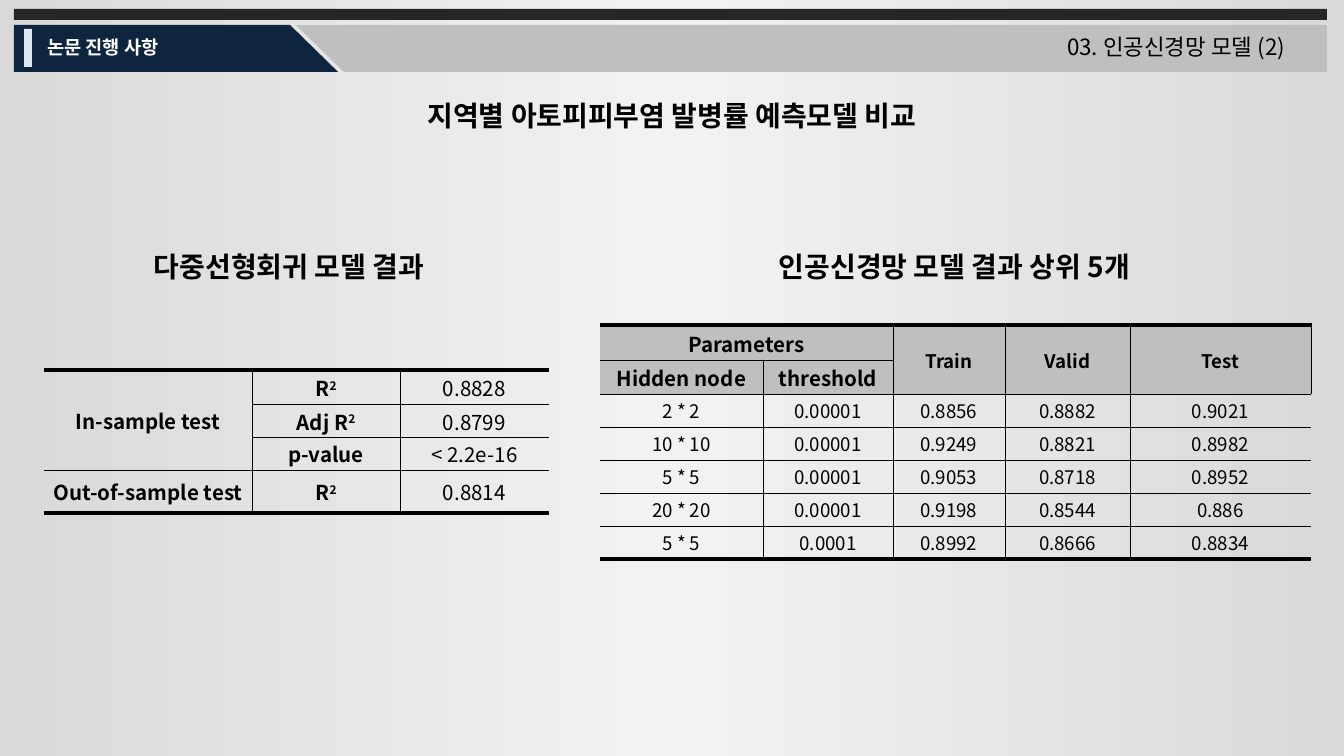
from copy import deepcopy
from dataclasses import dataclass

from lxml import etree
from pptx import Presentation
from pptx.dml.color import RGBColor
from pptx.enum.shapes import MSO_SHAPE
from pptx.enum.text import MSO_ANCHOR, MSO_AUTO_SIZE, PP_ALIGN
from pptx.oxml.ns import qn
from pptx.util import Emu, Pt

RECT, TRIANGLE = MSO_SHAPE.RECTANGLE, MSO_SHAPE.RIGHT_TRIANGLE
LEFT, CENTER = PP_ALIGN.LEFT, PP_ALIGN.CENTER
MIDDLE = MSO_ANCHOR.MIDDLE
GROW = MSO_AUTO_SIZE.SHAPE_TO_FIT_TEXT

FONT = "Noto Sans CJK KR"
NO_STYLE = "{2D5ABB26-0587-4C30-8999-92F81FD0307C}"
THIN, THICK = 0.28, 2.25
WIDTH, HEIGHT = 1344, 756
SCALE = 9144000 / WIDTH
COLORS = {
    "edge": "D9D9D9", "glow": "F2F2F2", "bar": "262626", "navy": "0F243E",
    "gray": "BFBFBF", "accent": "DCE6F2", "white": "FFFFFF", "black": "000000",
}


@dataclass
class Block:
    shape: int
    x: int
    y: int
    w: int
    h: int
    color: str
    rotation: int = 0


@dataclass
class Label:
    text: str
    x: int
    y: int
    w: int
    h: int
    size: int = 15
    bold: bool = True
    color: str = "black"
    align: int = CENTER
    wrap: bool = True


@dataclass
class Grid:
    x: int
    y: int
    cols: list[int]
    rows: list[int]
    cells: list[list[str]]
    merges: list[tuple[int, int, int, int]]  # first row, first column, last row, last column
    size: int
    head_rows: int = 0
    head_cols: int = 0
    big_cells: tuple[str, ...] = ()  # header texts one point larger


BLOCKS = [
    Block(RECT, 14, 9, 1313, 11, "bar"),
    Block(RECT, 14, 25, 276, 47, "navy"),
    Block(TRIANGLE, 290, 25, 48, 47, "navy"),
    Block(RECT, 344, 25, 983, 47, "gray"),
    Block(TRIANGLE, 296, 25, 48, 47, "gray", 180),
    Block(RECT, 24, 29, 8, 38, "accent"),
]
LABELS = [
    Label("논문 진행 사항", 34, 29, 152, 37, size=10, color="white", align=LEFT),
    Label("03. 인공신경망 모델 (2)", 1054, 27, 274, 40, size=12, bold=False, align=LEFT, wrap=False),
    Label("지역별 아토피피부염 발병률 예측모델 비교", 241, 92, 862, 47),
    Label("다중선형회귀 모델 결과", 125, 243, 328, 47),
    Label("인공신경망 모델 결과 상위 5개", 743, 243, 423, 47),
]
REGRESSION = Grid(
    44, 370, [208, 148, 149], [34, 33, 33, 43],
    [
        ["In-sample test", "R^2", "0.8828"],
        ["", "Adj R^2", "0.8799"],
        ["", "p-value", "< 2.2e-16"],
        ["Out-of-sample test", "R^2", "0.8814"],
    ],
    [(0, 0, 2, 0)], size=11, head_cols=2,
)
NETWORK = Grid(
    600, 325, [163, 130, 112, 125, 181], [35, 34] + [33] * 5,
    [
        ["Parameters", "", "Train", "Valid", "Test"],
        ["Hidden node", "threshold", "", "", ""],
        ["2 * 2", "0.00001", "0.8856", "0.8882", "0.9021"],
        ["10 * 10", "0.00001", "0.9249", "0.8821", "0.8982"],
        ["5 * 5", "0.00001", "0.9053", "0.8718", "0.8952"],
        ["20 * 20", "0.00001", "0.9198", "0.8544", "0.886"],
        ["5 * 5", "0.0001", "0.8992", "0.8666", "0.8834"],
    ],
    [(0, 0, 0, 1)] + [(0, c, 1, c) for c in (2, 3, 4)], size=10, head_rows=2,
    big_cells=("Parameters", "Hidden node", "threshold"),
)


def px(n: int) -> Emu:
    return Emu(round(n * SCALE))


def rgb(name: str) -> RGBColor:
    return RGBColor.from_string(COLORS[name])


def format_run(r, size: int, bold: bool, color: str = "black") -> None:
    r.font.size, r.font.bold, r.font.name = Pt(size), bold, FONT
    r.font.color.rgb = rgb(color)
    etree.SubElement(r._r.get_or_add_rPr(), qn("a:ea"), typeface=FONT)


def paint_background(slide) -> None:
    fill = slide.background.fill
    fill.gradient()
    fill.gradient_angle = 0
    stops = slide._element.find(".//" + qn("a:gsLst"))
    stops.append(deepcopy(stops[0]))
    for stop, pos, color in zip(fill.gradient_stops, (0, 0.5, 1), ("edge", "glow", "edge")):
        stop.position, stop.color.rgb = pos, rgb(color)


def draw_block(slide, b: Block) -> None:
    sp = slide.shapes.add_shape(b.shape, px(b.x), px(b.y), px(b.w), px(b.h))
    sp.shadow.inherit = False
    sp.fill.solid()
    sp.fill.fore_color.rgb = rgb(b.color)
    sp.line.fill.background()
    sp.rotation = b.rotation


def draw_label(slide, b: Label) -> None:
    tf = slide.shapes.add_textbox(px(b.x), px(b.y), px(b.w), px(b.h)).text_frame
    tf.word_wrap, tf.auto_size = b.wrap, GROW
    p = tf.paragraphs[0]
    p.text, p.alignment = b.text, b.align
    format_run(p.runs[0], b.size, b.bold, b.color)


def add_border(cell, side: str, width: float) -> None:
    ln = etree.SubElement(cell._tc.get_or_add_tcPr(), qn(f"a:ln{side}"), w=str(Pt(width)))
    fill = etree.SubElement(ln, qn("a:solidFill"))
    etree.SubElement(fill, qn("a:srgbClr"), val=COLORS["black"])


def draw_grid(slide, g: Grid) -> None:
    n_rows, n_cols = len(g.rows), len(g.cols)
    table = slide.shapes.add_table(
        n_rows, n_cols, px(g.x), px(g.y), px(sum(g.cols)), px(sum(g.rows))).table
    table.first_row = table.horz_banding = False
    table._tbl.tblPr.find(qn("a:tableStyleId")).text = NO_STYLE
    for col, w in zip(table.columns, g.cols):
        col.width = px(w)
    for row, h in zip(table.rows, g.rows):
        row.height = px(h)
    for r0, c0, r1, c1 in g.merges:
        table.cell(r0, c0).merge(table.cell(r1, c1))

    for i, texts in enumerate(g.cells):
        for j, text in enumerate(texts):
            cell = table.cell(i, j)
            if cell.is_spanned:
                continue
            # Outer sides stay open, top and bottom rules are thick
            if j > 0:
                add_border(cell, "L", THIN)
            if j + cell.span_width < n_cols:
                add_border(cell, "R", THIN)
            add_border(cell, "T", THICK if i == 0 else THIN)
            add_border(cell, "B", THICK if i + cell.span_height == n_rows else THIN)
            if i < g.head_rows:
                cell.fill.solid()
                cell.fill.fore_color.rgb = rgb("gray")
            else:
                cell.fill.background()
            cell.vertical_anchor = MIDDLE
            cell.margin_left = cell.margin_right = cell.margin_top = px(1)
            cell.margin_bottom = 0

            # A caret marks the superscript
            base, _, power = text.partition("^")
            p = cell.text_frame.paragraphs[0]
            p.text, p.alignment = base, CENTER
            if power:
                r = p.add_run()
                r.text = power
                r._r.get_or_add_rPr().set("baseline", "30000")
            bold = i < g.head_rows or j < g.head_cols
            for r in p.runs:
                format_run(r, g.size + (text in g.big_cells), bold)


def main() -> None:
    prs = Presentation()
    prs.slide_width, prs.slide_height = px(WIDTH), px(HEIGHT)
    slide = prs.slides.add_slide(prs.slide_layouts[6])
    paint_background(slide)
    # Header band
    for block in BLOCKS:
        draw_block(slide, block)
    # Titles
    for label in LABELS:
        draw_label(slide, label)
    # Result tables
    for grid in (NETWORK, REGRESSION):
        draw_grid(slide, grid)
    prs.save("out.pptx")


if __name__ == "__main__":
    main()
